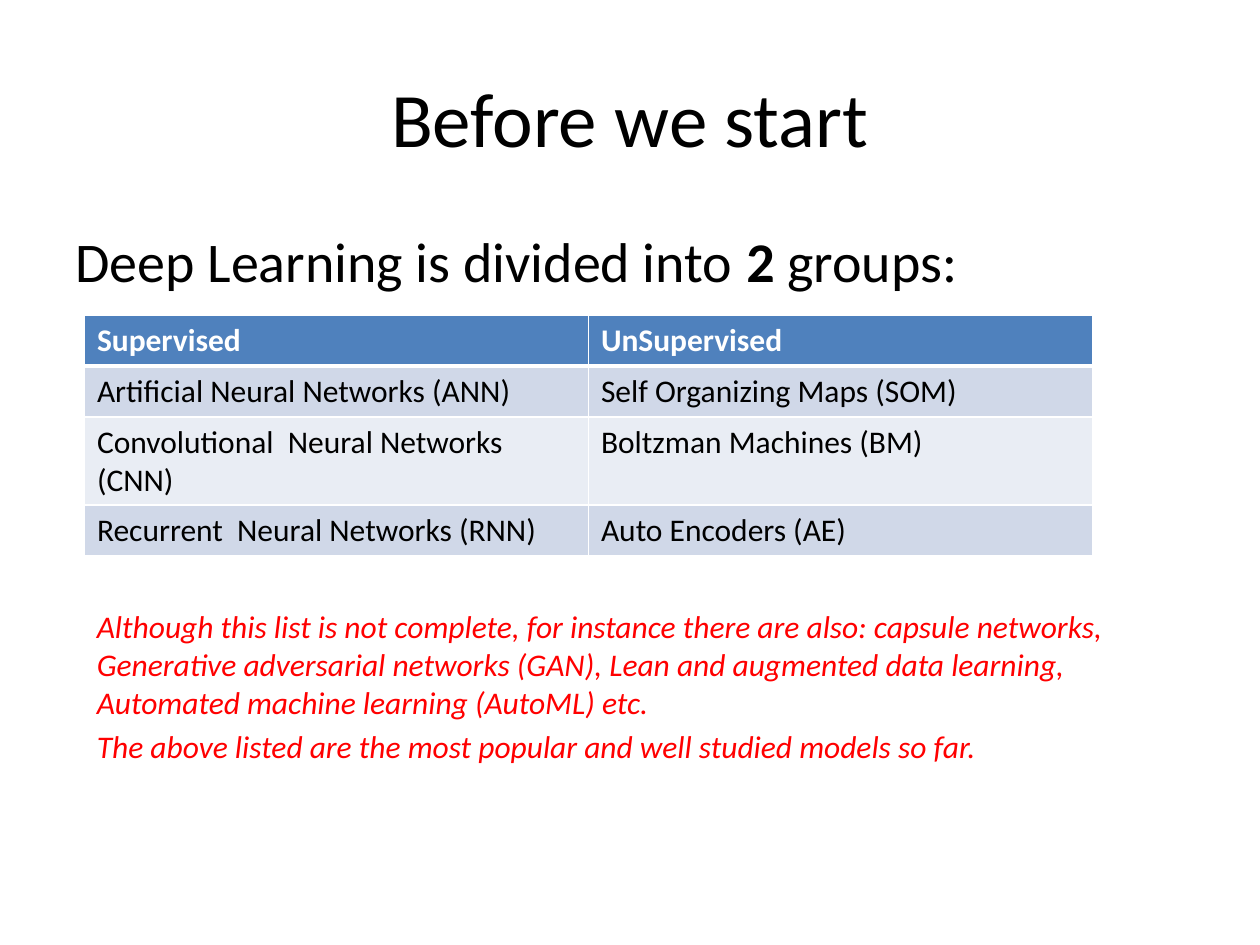
from lxml.etree import SubElement
from pptx import Presentation
from pptx.dml.color import RGBColor
from pptx.enum.text import MSO_ANCHOR, PP_ALIGN
from pptx.oxml.ns import qn
from pptx.util import Inches, Pt

FONT = "Calibri"
COLORS = {
    "text": "000000",
    "white": "FFFFFF",
    "note": "FF0000",
    "header": "4F81BD",
    "odd_row": "D0D8E8",
    "even_row": "E9EDF4",
}
MODELS = [
    ("Supervised", "UnSupervised"),
    ("Artificial Neural Networks (ANN)", "Self Organizing Maps (SOM)"),
    ("Convolutional  Neural Networks (CNN)", "Boltzman Machines (BM)"),
    ("Recurrent  Neural Networks (RNN)", "Auto Encoders (AE)"),
]
NOTES = [
    "Although this list is not complete, for instance there are also: capsule networks, "
    "Generative adversarial networks (GAN), Lean and augmented data learning, "
    "Automated machine learning (AutoML) etc.",
    "The above listed are the most popular and well studied models so far.",
]


def rgb(name):
    return RGBColor.from_string(COLORS[name])


def add_run(paragraph, text, size, color="text", bold=False, italic=False):
    run = paragraph.add_run()
    run.text = text
    font = run.font
    font.name, font.size = FONT, Pt(size)
    font.bold, font.italic = bold, italic
    font.color.rgb = rgb(color)


def place_title(slide, left, top, width, height):
    title = slide.shapes.title
    title.left, title.top, title.width, title.height = left, top, width, height
    title.text_frame.vertical_anchor = MSO_ANCHOR.MIDDLE
    paragraph = title.text_frame.paragraphs[0]
    paragraph.alignment = PP_ALIGN.CENTER
    add_run(paragraph, "Before we start", 44)


def add_text_frame(slide, left, top, width, height):
    frame = slide.shapes.add_textbox(left, top, width, height).text_frame
    frame.word_wrap = True
    return frame


def add_intro(slide, left, top, width, height):
    paragraph = add_text_frame(slide, left, top, width, height).paragraphs[0]
    add_run(paragraph, "Deep Learning is divided into ", 32)
    add_run(paragraph, "2", 32, bold=True)
    add_run(paragraph, " groups:", 32)


def set_borders(cell, widths):
    properties = cell._tc.get_or_add_tcPr()
    for index, (side, width) in enumerate(widths.items()):
        line = properties.makeelement(qn(f"a:{side}"), {"w": str(Pt(width))})
        fill = SubElement(line, qn("a:solidFill"))
        SubElement(fill, qn("a:srgbClr"), val=COLORS["white"])
        properties.insert(index, line)


def add_models_table(slide, left, top, width, height):
    table = slide.shapes.add_table(len(MODELS), len(MODELS[0]), left, top, width, height).table
    for row, names in enumerate(MODELS):
        is_header = row == 0
        row_fill = "header" if is_header else "odd_row" if row % 2 else "even_row"
        for column, name in enumerate(names):
            cell = table.cell(row, column)
            cell.fill.solid()
            cell.fill.fore_color.rgb = rgb(row_fill)
            set_borders(cell, {
                "lnL": 1,
                "lnR": 1,
                "lnT": 3 if row == 1 else 1,
                "lnB": 3 if is_header else 1,
            })
            add_run(cell.text_frame.paragraphs[0], name, 18,
                    "white" if is_header else "text", bold=is_header)


def add_notes(slide, left, top, width, height):
    frame = add_text_frame(slide, left, top, width, height)
    for index, note in enumerate(NOTES):
        paragraph = frame.add_paragraph() if index else frame.paragraphs[0]
        if index:
            paragraph.space_before = Pt(3.6)
        add_run(paragraph, note, 18, "note", italic=True)


def main():
    presentation = Presentation()
    presentation.slide_width, presentation.slide_height = Inches(10), Inches(7.5)
    slide = presentation.slides.add_slide(presentation.slide_layouts[5])
    place_title(slide, Inches(0.5), Inches(0.3), Inches(9), Inches(1.25))
    add_intro(slide, Inches(0.5), Inches(1.75), Inches(9), Inches(0.66))
    add_models_table(slide, Inches(0.67), Inches(2.5), Inches(8), Inches(1.62))
    add_notes(slide, Inches(0.67), Inches(4.77), Inches(9), Inches(1.42))
    presentation.save("out.pptx")


if __name__ == "__main__":
    main()
